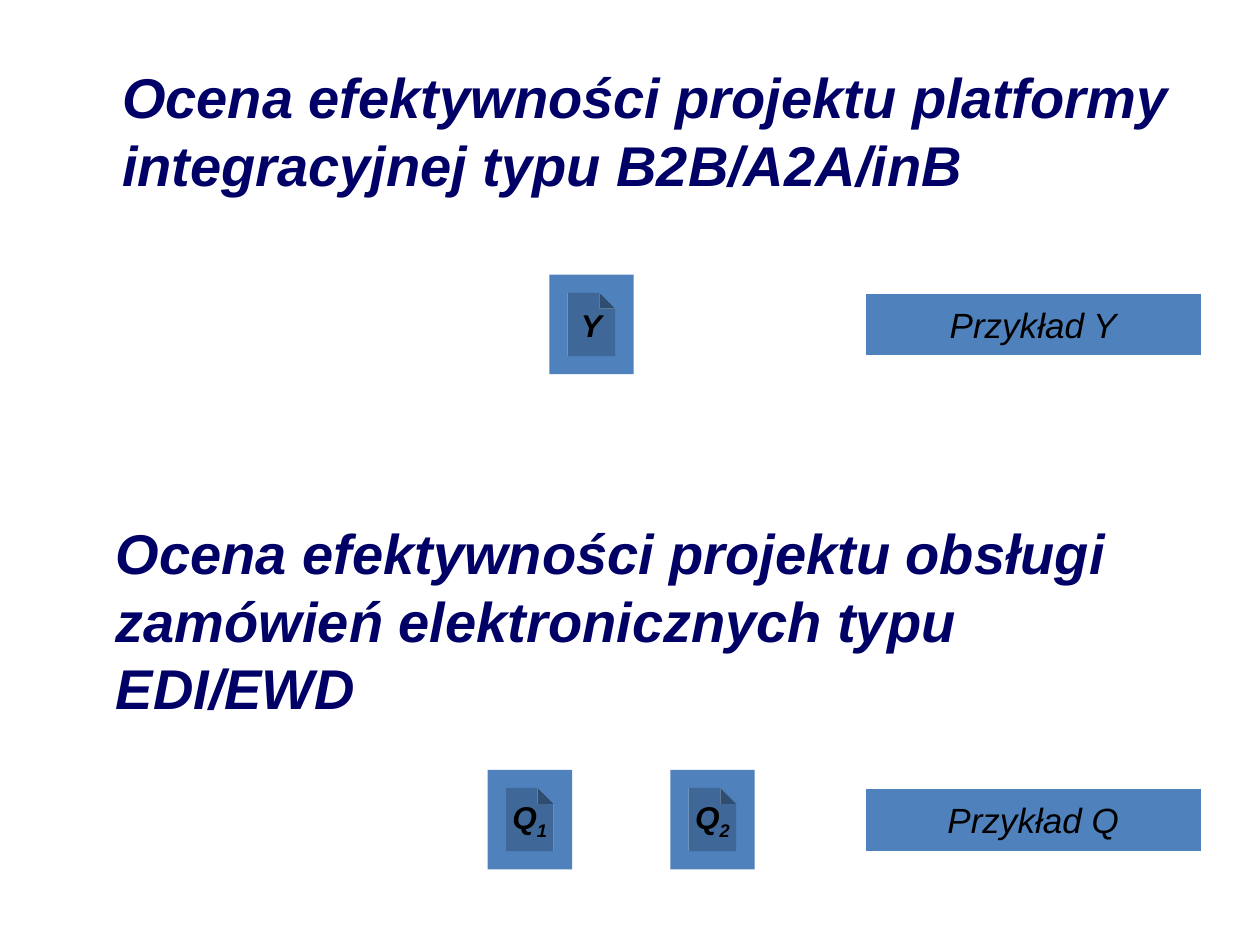
from dataclasses import dataclass

from pptx import Presentation
from pptx.dml.color import RGBColor
from pptx.enum.shapes import MSO_SHAPE
from pptx.enum.text import MSO_ANCHOR, PP_ALIGN
from pptx.util import Inches, Pt


@dataclass(frozen=True)
class Theme:
    font: str = "Arial"
    heading_color: RGBColor = RGBColor(0x00, 0x00, 0x66)
    label_color: RGBColor = RGBColor(0x00, 0x00, 0x00)
    button_fill: RGBColor = RGBColor(0x4F, 0x81, 0xBD)
    heading_size: Pt = Pt(32)
    example_size: Pt = Pt(20)
    document_size: Pt = Pt(18)


THEME = Theme()
HEADING = {"size": THEME.heading_size, "bold": True, "color": THEME.heading_color}
EXAMPLE = {"size": THEME.example_size, "bold": False, "color": THEME.label_color}
DOCUMENT = {"size": THEME.document_size, "bold": True, "color": THEME.label_color}

BUTTON_SIZE = (2.66, 0.49)
DOCUMENT_SIZE = (0.67, 0.79)
BUTTON_LEFT = 6.87
BUTTON_DROP = 0.15

# Heading, its box, top of the button row, example label, documents (left, letter, index)
SECTIONS = [
    ("Ocena efektywności projektu platformy integracyjnej typu B2B/A2A/inB",
     (0.87, 0.45, 8.61, 1.17), 2.18, "Przykład Y", [(4.36, "Y", "")]),
    ("Ocena efektywności projektu obsługi zamówień elektronicznych typu EDI/EWD",
     (0.82, 4.07, 8.61, 1.7), 6.11, "Przykład Q",
     [(3.87, "Q", "1"), (5.32, "Q", "2")]),
]


def add_span(para, text, style, subscript=False):
    span = para.add_run()
    span.text = text
    font_values = {"name": THEME.font, "italic": True,
                   "size": style["size"], "bold": style["bold"]}
    for name, value in font_values.items():
        setattr(span.font, name, value)
    span.font.color.rgb = style["color"]
    if subscript:
        span.font._element.set("baseline", "-25000")


def add_heading(page, box, text):
    frame = page.shapes.add_textbox(*map(Inches, box)).text_frame
    frame.word_wrap = True
    add_span(frame.paragraphs[0], text, HEADING)


def add_button(page, box, preset, style, text, index=""):
    """Add an action button whose label may end in a subscript index."""
    button = page.shapes.add_shape(preset, *map(Inches, box))
    button.shadow.inherit = False
    button.fill.solid()
    button.fill.fore_color.rgb = THEME.button_fill
    button.line.fill.background()
    frame = button.text_frame
    frame.word_wrap = False
    frame.vertical_anchor = MSO_ANCHOR.MIDDLE
    para = frame.paragraphs[0]
    para.alignment = PP_ALIGN.CENTER
    add_span(para, text, style)
    if index:
        add_span(para, index, style, subscript=True)


def add_section(page, heading, heading_box, row_top, example, documents):
    add_heading(page, heading_box, heading)
    add_button(page, (BUTTON_LEFT, row_top + BUTTON_DROP, *BUTTON_SIZE),
               MSO_SHAPE.ACTION_BUTTON_CUSTOM, EXAMPLE, example)
    for left, letter, index in documents:
        add_button(page, (left, row_top, *DOCUMENT_SIZE),
                   MSO_SHAPE.ACTION_BUTTON_DOCUMENT, DOCUMENT, letter, index)


def main():
    deck = Presentation()
    deck.slide_width, deck.slide_height = Inches(10), Inches(7.5)
    page = deck.slides.add_slide(deck.slide_layouts[6])
    for section in SECTIONS:
        add_section(page, *section)
    deck.save("out.pptx")


if __name__ == "__main__":
    main()
